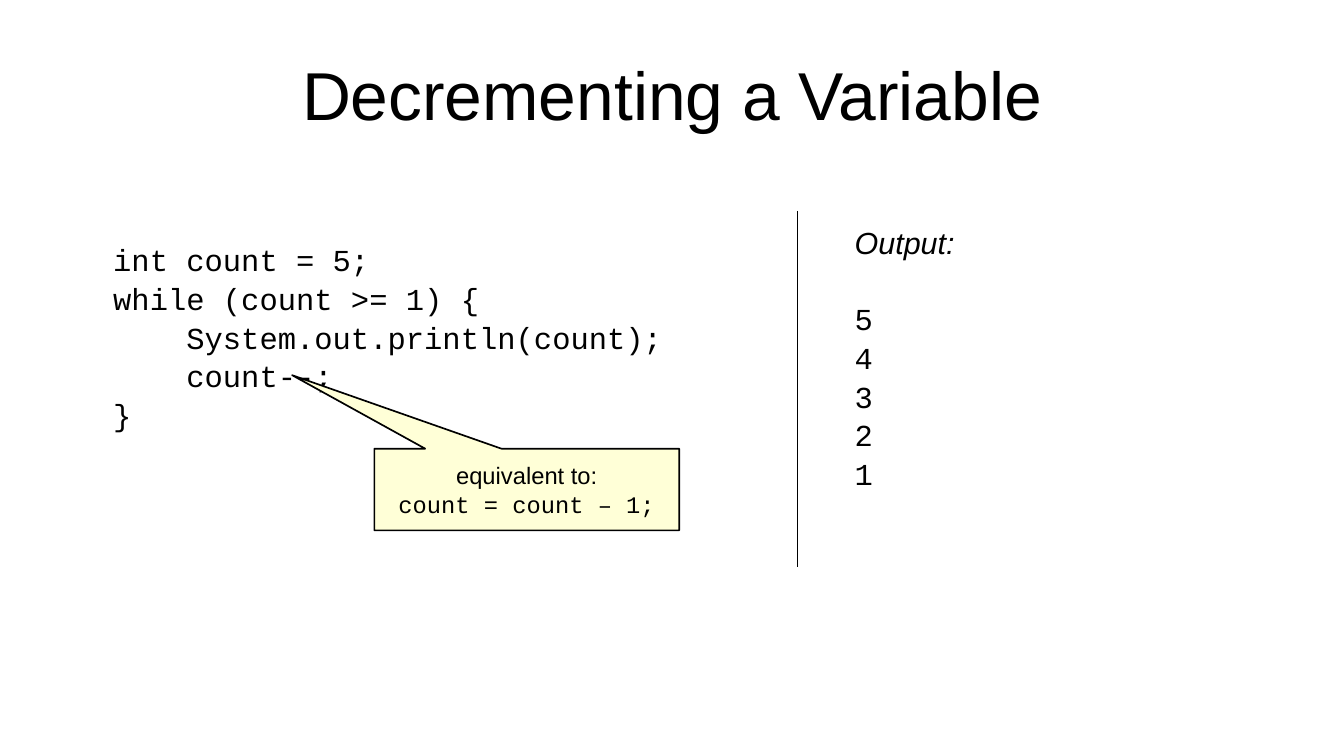
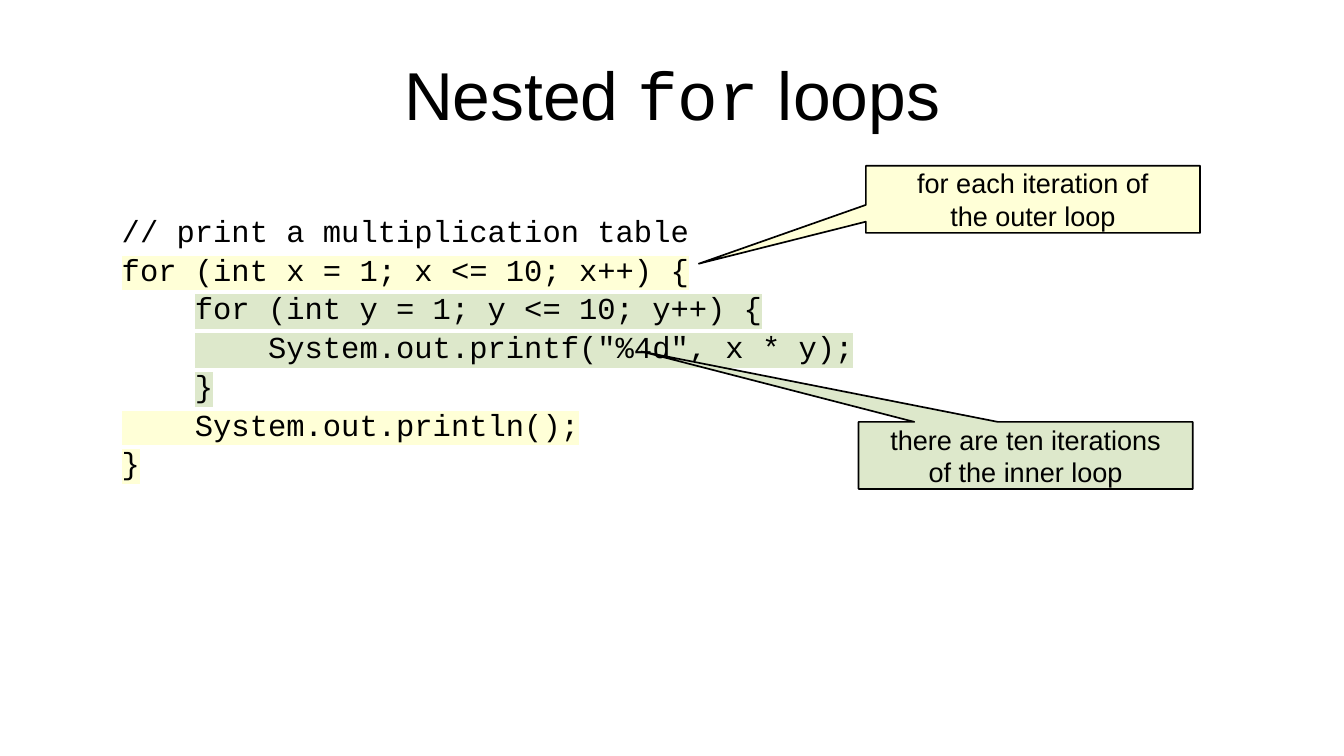
import pptx
import pptx.util
import pptx.dml.color
import pptx.enum.shapes
import pptx.enum.text
import pptx.oxml
import pptx.oxml.ns

Inches = pptx.util.Inches
Pt = pptx.util.Pt
RGBColor = pptx.dml.color.RGBColor
Align = pptx.enum.text.PP_ALIGN
Anchor = pptx.enum.text.MSO_ANCHOR
AutoSize = pptx.enum.text.MSO_AUTO_SIZE

BLACK = RGBColor(0x00, 0x00, 0x00)
YELLOW = RGBColor(0xFF, 0xFF, 0xD7)
GREEN = RGBColor(0xDD, 0xE8, 0xCB)
SANS = "Arial"
MONO = "Courier New"
CODE_SIZE = 18
CODE_SPACING = 1.06
INDENT = "    "


def add_run(paragraph, text, size, font=SANS, italic=None, highlight=None):
    run = paragraph.add_run()
    run.text = text
    run.font.size = Pt(size)
    run.font.name = font
    run.font.italic = italic
    run.font.color.rgb = BLACK
    if highlight is not None:
        properties = run.font._element
        mark = pptx.oxml.parse_xml(
            f'<a:highlight {pptx.oxml.ns.nsdecls("a")}>'
            f'<a:srgbClr val="{highlight}"/></a:highlight>'
        )
        properties.find(pptx.oxml.ns.qn("a:latin")).addprevious(mark)


def set_margins(frame, horizontal, vertical):
    frame.margin_left = frame.margin_right = Inches(horizontal)
    frame.margin_top = frame.margin_bottom = Inches(vertical)


def add_paragraph(frame, index):
    return frame.add_paragraph() if index else frame.paragraphs[0]


def style_layout(layout):
    title = layout.placeholders[0]
    title.left, title.top = Inches(0.55), Inches(0.25)
    title.width, title.height = Inches(9.92), Inches(1.04)
    frame = title.text_frame
    set_margins(frame, 0, 0)
    frame.vertical_anchor = Anchor.MIDDLE
    frame.auto_size = AutoSize.NONE


def add_titled_slide(presentation, layout, *parts):
    slide = presentation.slides.add_slide(layout)
    paragraph = slide.shapes.title.text_frame.paragraphs[0]
    paragraph.alignment = Align.CENTER
    for text, font in parts:
        add_run(paragraph, text, 40, font)
    return slide


def add_text_box(slide, left, top, width, height):
    box = slide.shapes.add_textbox(
        Inches(left), Inches(top), Inches(width), Inches(height))
    frame = box.text_frame
    set_margins(frame, 0.1, 0.05)
    frame.margin_top = Inches(0.07)
    frame.word_wrap = False
    frame.auto_size = AutoSize.SHAPE_TO_FIT_TEXT
    return frame


def add_code(slide, left, top, width, height, lines):
    frame = add_text_box(slide, left, top, width, height)
    for index, parts in enumerate(lines):
        paragraph = add_paragraph(frame, index)
        paragraph.line_spacing = CODE_SPACING
        for text, highlight in parts:
            add_run(paragraph, text, CODE_SIZE, MONO, highlight=highlight)


def add_output(slide, left, top, width, height, values):
    frame = add_text_box(slide, left, top, width, height)
    heading = frame.paragraphs[0]
    heading.line_spacing = CODE_SPACING
    heading.space_after = Pt(22)
    add_run(heading, "Output:", CODE_SIZE, italic=True)
    for value in values:
        paragraph = frame.add_paragraph()
        paragraph.line_spacing = CODE_SPACING
        add_run(paragraph, value, CODE_SIZE, MONO)


def add_callout(slide, left, top, width, height, tip, fill, size, lines):
    shape = slide.shapes.add_shape(
        pptx.enum.shapes.MSO_SHAPE.RECTANGULAR_CALLOUT,
        Inches(left), Inches(top), Inches(width), Inches(height))
    shape.adjustments[0], shape.adjustments[1] = tip
    shape.shadow.inherit = False
    shape.fill.solid()
    shape.fill.fore_color.rgb = fill
    shape.line.color.rgb = BLACK
    shape.line.width = Pt(1)
    frame = shape.text_frame
    set_margins(frame, 0.11, 0.06)
    frame.vertical_anchor = Anchor.MIDDLE
    frame.word_wrap = False
    for index, (text, font) in enumerate(lines):
        paragraph = add_paragraph(frame, index)
        paragraph.alignment = Align.CENTER
        add_run(paragraph, text, size, font)


def add_divider(slide, x, top, bottom):
    line = slide.shapes.add_connector(
        pptx.enum.shapes.MSO_CONNECTOR.STRAIGHT,
        Inches(x), Inches(top), Inches(x), Inches(bottom))
    line.line.color.rgb = BLACK
    line.line.width = Pt(1)
    line._element.spPr.append(pptx.oxml.parse_xml(
        f'<a:effectLst {pptx.oxml.ns.nsdecls("a")}/>'))


def build_decrement_slide(presentation, layout):
    slide = add_titled_slide(
        presentation, layout, ("Decrementing a Variable", SANS))
    code = [
        "int count = 5;",
        "while (count >= 1) {",
        INDENT + "System.out.println(count);",
        INDENT + "count--;",
        "}",
    ]
    add_code(slide, 0.83, 1.89, 4.7, 1.52, [[(line, None)] for line in code])
    add_callout(slide, 3.07, 3.68, 2.5, 0.67, (-0.77, -1.4), YELLOW, 14,
                [("equivalent to:", SANS), ("count = count – 1;", MONO)])
    add_divider(slide, 6.54, 1.73, 4.65)
    add_output(slide, 6.91, 1.75, 1.02, 2.08, "54321")


def build_nested_slide(presentation, layout):
    slide = add_titled_slide(
        presentation, layout,
        ("Nested ", SANS), ("for", MONO), (" loops", SANS))
    margin = (INDENT, None)
    add_code(slide, 0.9, 1.65, 6.2, 2.37, [
        [("// print a multiplication table", None)],
        [("for (int x = 1; x <= 10; x++) {", YELLOW)],
        [margin, ("for (int y = 1; y <= 10; y++) {", GREEN)],
        [margin, (INDENT + 'System.out.printf("%4d", x * y);', GREEN)],
        [margin, ("}", GREEN)],
        [(INDENT + "System.out.println();", YELLOW)],
        [("}", YELLOW)],
    ])
    add_callout(slide, 7.1, 1.36, 2.74, 0.55, (-1.0, 0.96), YELLOW, 16,
                [("for each iteration of", SANS), ("the outer loop", SANS)])
    add_callout(slide, 7.04, 3.46, 2.74, 0.55, (-1.15, -1.55), GREEN, 16,
                [("there are ten iterations", SANS),
                 ("of the inner loop", SANS)])


def main():
    presentation = pptx.Presentation()
    presentation.slide_width = Inches(11.02)
    presentation.slide_height = Inches(6.2)
    layout = presentation.slide_layouts[5]
    style_layout(layout)
    build_decrement_slide(presentation, layout)
    build_nested_slide(presentation, layout)
    presentation.save("out.pptx")


if __name__ == "__main__":
    main()
